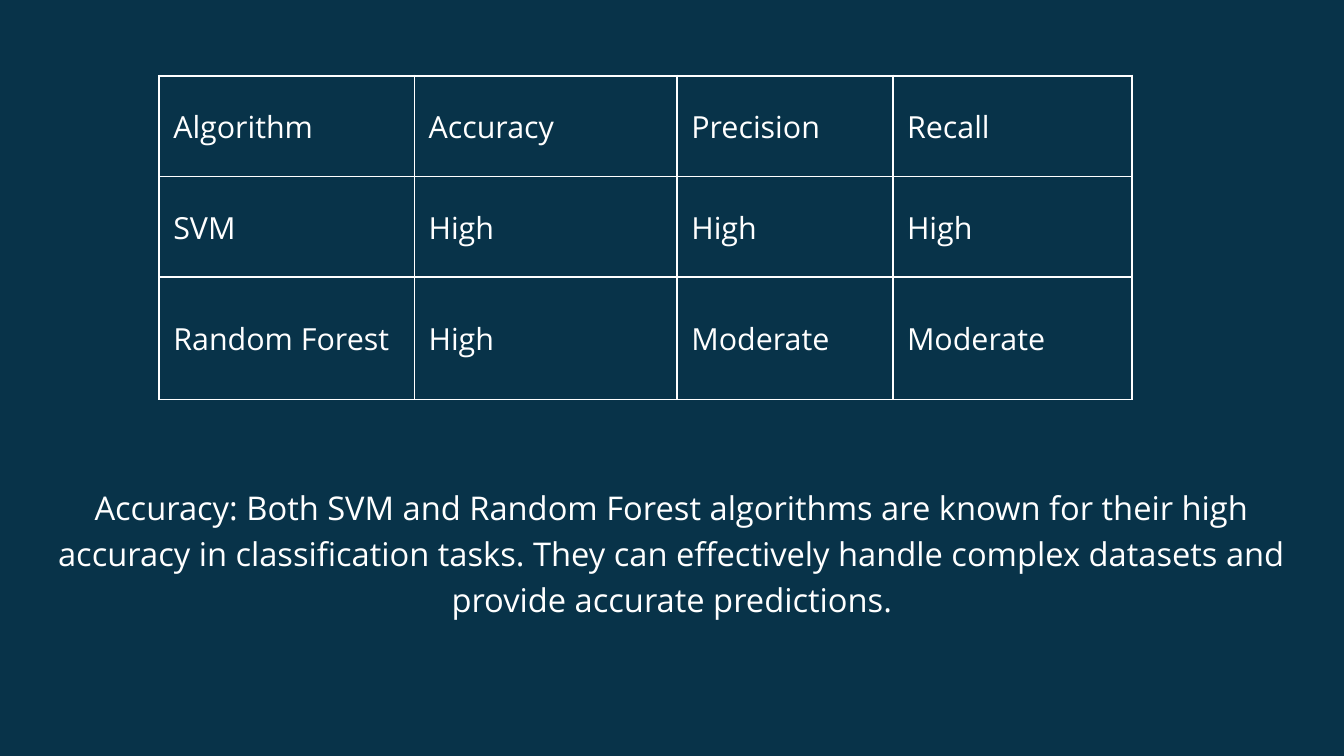
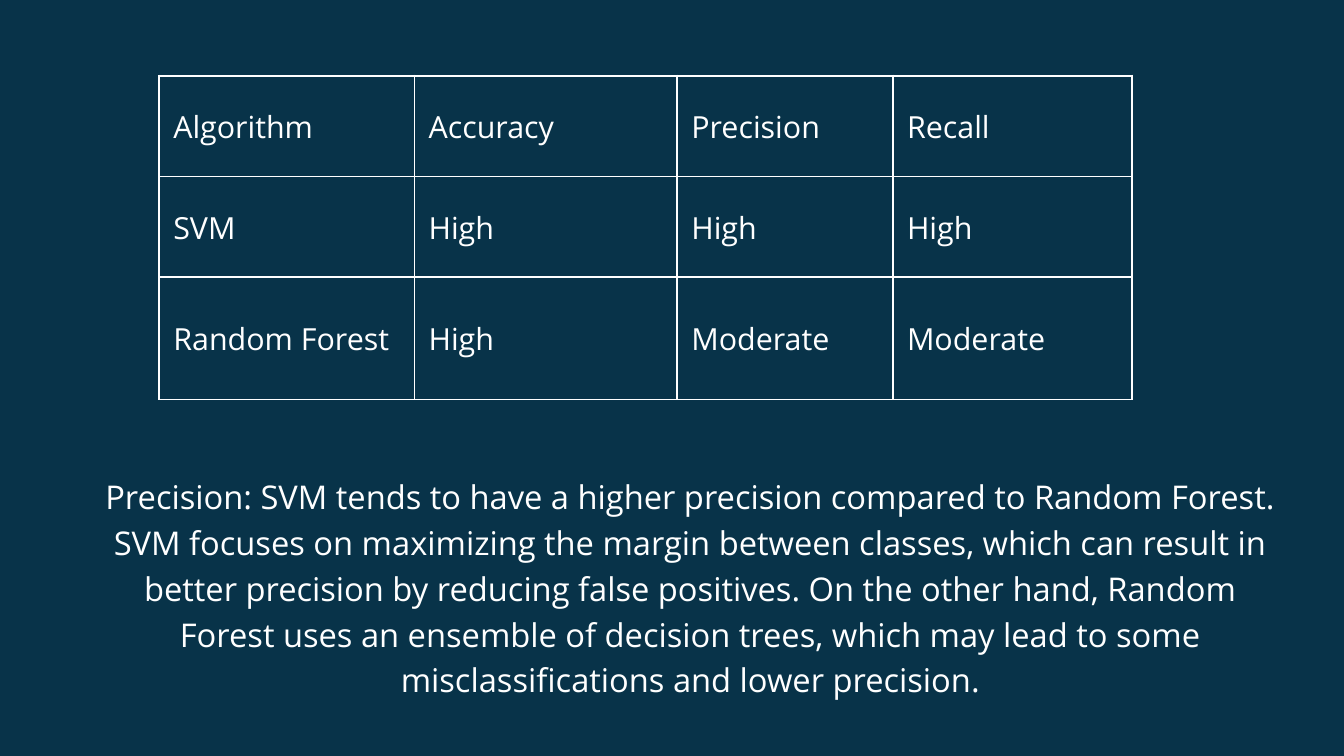
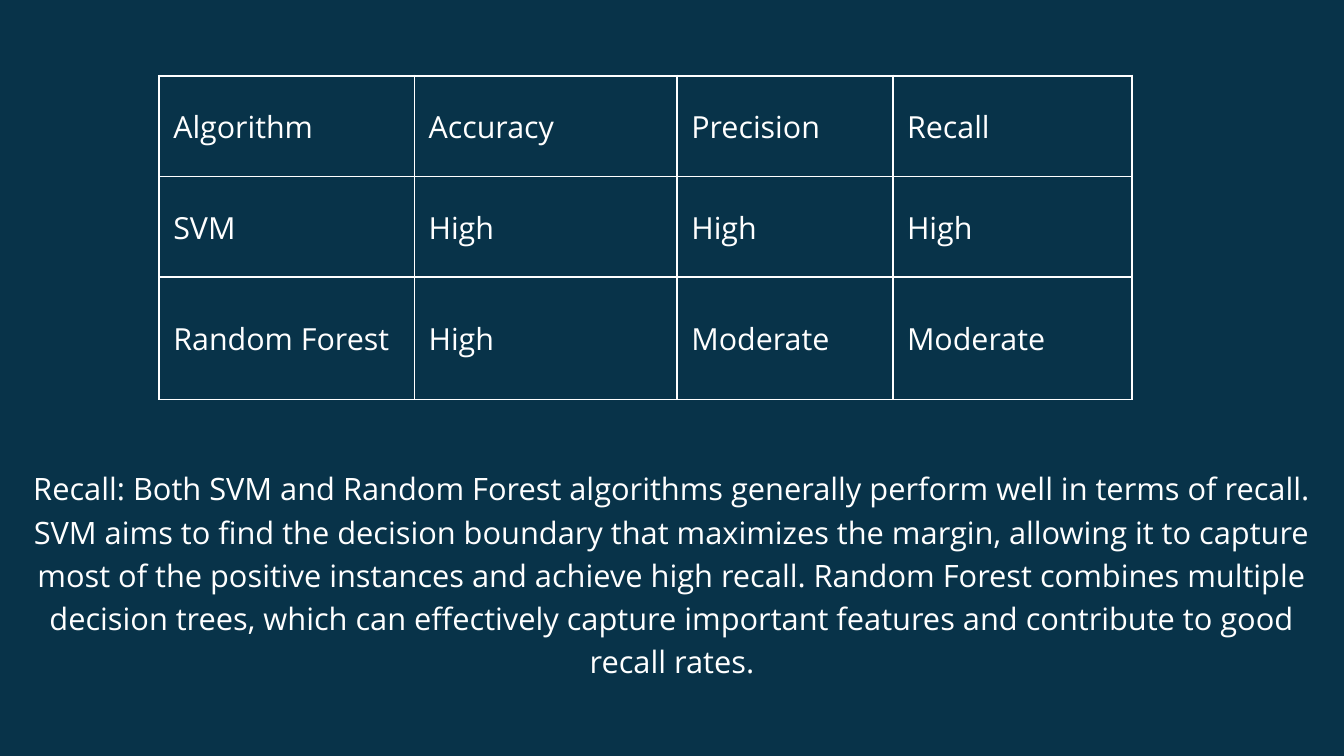
import lxml.etree
import pptx
import pptx.dml.color
import pptx.enum.text
import pptx.oxml.ns
import pptx.util

Pt = pptx.util.Pt
NAVY = pptx.dml.color.RGBColor(0x08, 0x33, 0x49)
WHITE = pptx.dml.color.RGBColor(0xFF, 0xFF, 0xFF)

COLUMN_WIDTHS = (273.6, 281.5, 231.1, 256.3)
ROW_HEIGHTS = (108, 108, 131)
COMPARISON = (
    ("Algorithm", "Accuracy", "Precision", "Recall"),
    ("SVM", "High", "High", "High"),
    ("Random Forest", "High", "Moderate", "Moderate"),
)
EXPLANATIONS = (
    ("Accuracy: Both SVM and Random Forest algorithms are known for their high "
     "accuracy in classification tasks. They can effectively handle complex "
     "datasets and provide accurate predictions.",
     (28, 515.5, 1384, 145), 35, 49.1),
    ("Precision: SVM tends to have a higher precision compared to Random Forest. "
     "SVM focuses on maximizing the margin between classes, which can result in "
     "better precision by reducing false positives. On the other hand, Random "
     "Forest uses an ensemble of decision trees, which may lead to some "
     "misclassifications and lower precision.",
     (101, 504, 1278, 242), 35, 49.1),
    ("Recall: Both SVM and Random Forest algorithms generally perform well in "
     "terms of recall. SVM aims to find the decision boundary that maximizes the "
     "margin, allowing it to capture most of the positive instances and achieve "
     "high recall. Random Forest combines multiple decision trees, which can "
     "effectively capture important features and contribute to good recall rates.",
     (25, 497, 1390, 273), 33, 46.3),
)


class Deck:
    """Holds the shared style and the slide being built."""

    font_name = "Open Sans"
    border_width = 2.25
    cell_margin = 15.1

    def __init__(self):
        self.presentation = pptx.Presentation()
        self.presentation.slide_width = Pt(1440)
        self.presentation.slide_height = Pt(810)
        background = self.presentation.slide_master.background.fill
        background.solid()
        background.fore_color.rgb = NAVY
        self.slide = None

    def add_slide(self):
        self.slide = self.presentation.slides.add_slide(self.presentation.slide_layouts[6])

    def style_paragraph(self, paragraph, size, line_spacing, alignment):
        paragraph.alignment = alignment
        paragraph.line_spacing = Pt(line_spacing)
        paragraph.font.name = self.font_name
        paragraph.font.size = Pt(size)
        paragraph.font.color.rgb = WHITE

    def set_margins(self, target, margin):
        for side in ("left", "top", "right", "bottom"):
            setattr(target, f"margin_{side}", Pt(margin))

    def add_borders(self, cell):
        qn = pptx.oxml.ns.qn
        properties = cell._tc.get_or_add_tcPr()
        for side in ("lnL", "lnR", "lnT", "lnB"):
            line = lxml.etree.SubElement(properties, qn(f"a:{side}"), w=str(Pt(self.border_width)))
            fill = lxml.etree.SubElement(line, qn("a:solidFill"))
            lxml.etree.SubElement(fill, qn("a:srgbClr"), val=str(WHITE))

    def add_table(self, left, top, rows, column_widths, row_heights):
        table = self.slide.shapes.add_table(
            len(rows), len(column_widths), Pt(left), Pt(top),
            Pt(sum(column_widths)), Pt(sum(row_heights))).table
        table.first_row = table.horz_banding = False
        for column, width in zip(table.columns, column_widths):
            column.width = Pt(width)
        for row, height, texts in zip(table.rows, row_heights, rows):
            row.height = Pt(height)
            for cell, text in zip(row.cells, texts):
                cell.text = text
                cell.vertical_anchor = pptx.enum.text.MSO_ANCHOR.MIDDLE
                self.set_margins(cell, self.cell_margin)
                self.add_borders(cell)
                cell.fill.solid()
                cell.fill.fore_color.rgb = NAVY
                self.style_paragraph(cell.text_frame.paragraphs[0], 32.6, 45.6,
                                     pptx.enum.text.PP_ALIGN.LEFT)

    def add_text(self, text, box, size, line_spacing):
        frame = self.slide.shapes.add_textbox(*map(Pt, box)).text_frame
        frame.word_wrap = True
        frame.auto_size = pptx.enum.text.MSO_AUTO_SIZE.SHAPE_TO_FIT_TEXT
        self.set_margins(frame, 0)
        frame.text = text
        self.style_paragraph(frame.paragraphs[0], size, line_spacing,
                             pptx.enum.text.PP_ALIGN.CENTER)


def main():
    deck = Deck()
    for text, box, size, line_spacing in EXPLANATIONS:
        deck.add_slide()
        deck.add_table(170.6, 81, COMPARISON, COLUMN_WIDTHS, ROW_HEIGHTS)
        deck.add_text(text, box, size, line_spacing)
    deck.presentation.save("out.pptx")


if __name__ == "__main__":
    main()
